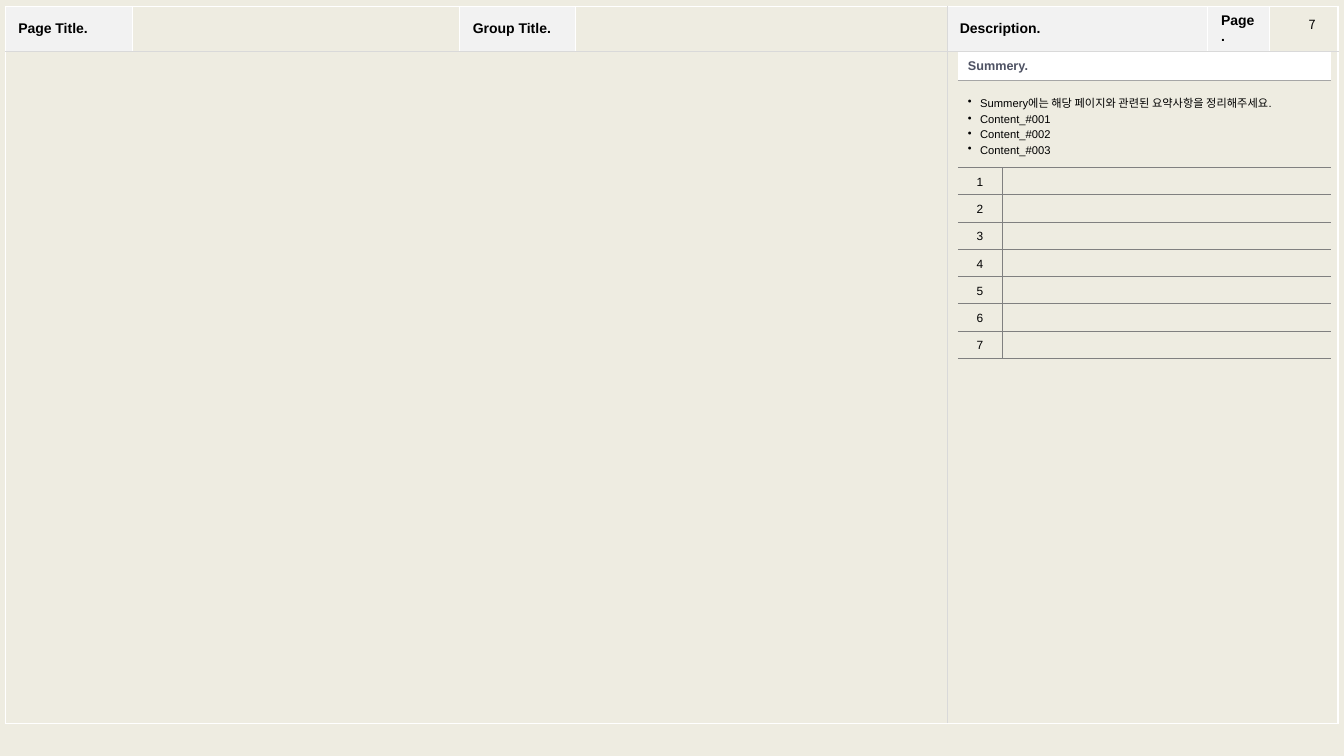
from dataclasses import dataclass
from typing import Optional

from lxml import etree
from pptx import Presentation
from pptx.dml.color import RGBColor
from pptx.enum.text import MSO_ANCHOR, PP_ALIGN
from pptx.oxml.ns import qn
from pptx.util import Inches, Pt

MIDDLE = MSO_ANCHOR.MIDDLE
LEFT, CENTER, JUSTIFY = PP_ALIGN.LEFT, PP_ALIGN.CENTER, PP_ALIGN.JUSTIFY
WIDE, HIGH = Inches(13.33), Inches(7.5)


@dataclass(frozen=True)
class Theme:
    page: str = "EEECE1"
    label: str = "F2F2F2"
    white: str = "FFFFFF"
    ink: str = "000000"
    slate: str = "4E5263"
    pale: str = "D9D9D9"
    mid: str = "A6A6A6"
    gray: str = "808080"
    font: str = "Arial"
    number: str = "Noto Sans CJK KR"
    head: float = 10
    title: float = 9
    body: float = 8
    index: float = 8.5
    thin: float = 0.25
    thick: float = 1


@dataclass(frozen=True)
class Style:
    size: float
    color: str
    bold: bool = False
    align: PP_ALIGN = LEFT
    space: float = 1
    bullet: bool = False
    inset: Optional[tuple[float, float]] = None


@dataclass(frozen=True)
class Grid:
    left: float
    top: float
    cols: list[float]
    rows: list[float]


@dataclass(frozen=True)
class Item:
    row: int
    col: int
    text: str
    style: Style
    edges: dict[str, str]
    fill: Optional[str] = None
    span: int = 1


THEME = Theme()
HEAD = Style(THEME.head, THEME.ink, True, inset=(0.98, 0.8))
TITLE = Style(THEME.title, THEME.slate, True)
BODY = Style(THEME.body, THEME.ink, align=JUSTIFY, space=1.2, bullet=True)
INDEX = Style(THEME.index, THEME.ink, align=CENTER, space=1.2)
PAGE = Style(THEME.title, THEME.ink)

HEADS = ["Page Title.", "", "Group Title.", "", "Description.", "Page.", ""]
NOTES = [
    "Summery에는 해당 페이지와 관련된 요약사항을 정리해주세요.",
    "Content_#001",
    "Content_#002",
    "Content_#003",
]
COUNT = 7
FRAME = Grid(0.38, 0.87, [9.45, 24.38, 8.63, 27.61, 19.43, 4.58, 5.1], [5.93, 88.93])
PANEL = Grid(71.27, 6.93, [3.3, 24.46], [3.73, 11.47] + [3.61] * COUNT)
SPLIT = 4


def across(share: float) -> int:
    return round(WIDE * share / 100)


def down(share: float) -> int:
    return round(HIGH * share / 100)


def write(frame, text: str, style: Style, font: str) -> None:
    frame.text = text
    for para in frame.paragraphs:
        para.alignment = style.align
        para.line_spacing = style.space
        if style.bullet:
            props = para._p.get_or_add_pPr()
            props.set("marL", str(across(0.9)))
            props.set("indent", str(-across(0.9)))
            etree.SubElement(props, qn("a:buChar")).set("char", "•")
        for run in para.runs:
            run.font.name = font
            run.font.size = Pt(style.size)
            run.font.bold = style.bold
            run.font.color.rgb = RGBColor.from_string(style.color)
        if not para.runs:
            end = etree.SubElement(para._p, qn("a:endParaRPr"))
            end.set("sz", str(int(style.size * 100)))


def border(cell, edges: dict[str, str]) -> None:
    props = cell._tc.get_or_add_tcPr()
    for spot, side in enumerate("LRTB"):
        line = etree.Element(qn(f"a:ln{side}"))
        if side in edges:
            color = edges[side]
            width = THEME.thick if color == THEME.white else THEME.thin
            line.set("w", str(Pt(width)))
            fill = etree.SubElement(line, qn("a:solidFill"))
            etree.SubElement(fill, qn("a:srgbClr")).set("val", color)
        else:
            etree.SubElement(line, qn("a:noFill"))
        props.insert(spot, line)


def draw(slide, grid: Grid, items: list[Item]) -> None:
    shape = slide.shapes.add_table(
        len(grid.rows), len(grid.cols), across(grid.left), down(grid.top),
        across(sum(grid.cols)), down(sum(grid.rows)))
    table = shape.table
    table.first_row = table.horz_banding = False
    for col, share in zip(table.columns, grid.cols):
        col.width = across(share)
    for row, share in zip(table.rows, grid.rows):
        row.height = down(share)
    for item in items:
        cells = [table.cell(item.row, item.col + step) for step in range(item.span)]
        if item.span > 1:
            cells[0].merge(cells[-1])
        for cell in cells:
            if item.fill:
                cell.fill.solid()
                cell.fill.fore_color.rgb = RGBColor.from_string(item.fill)
            else:
                cell.fill.background()
            border(cell, item.edges)
        cell = cells[0]
        cell.vertical_anchor = MIDDLE
        if item.style.inset:
            side, edge = item.style.inset
            cell.margin_left = cell.margin_right = across(side)
            cell.margin_top = cell.margin_bottom = down(edge)
        write(cell.text_frame, item.text, item.style, THEME.font)


def outline() -> list[Item]:
    white, pale = THEME.white, THEME.pale
    items = []
    for col, text in enumerate(HEADS):
        edges = {
            "L": pale if col == SPLIT else white,
            "R": pale if col == SPLIT - 1 else white,
            "T": white,
            "B": pale,
        }
        items.append(Item(0, col, text, HEAD, edges, THEME.label if text else None))
    left = {"L": white, "T": pale, "R": pale, "B": white}
    right = {"L": pale, "T": pale, "R": white, "B": white}
    items.append(Item(1, 0, "", HEAD, left, span=SPLIT))
    items.append(Item(1, SPLIT, "", HEAD, right, span=len(HEADS) - SPLIT))
    return items


def summary() -> list[Item]:
    mid, gray = THEME.mid, THEME.gray
    items = [
        Item(0, 0, "Summery.", TITLE, {"B": mid}, THEME.white, 2),
        Item(1, 0, "\n".join(NOTES), BODY, {"T": mid, "B": gray}, span=2),
    ]
    for num in range(1, COUNT + 1):
        rule = {"T": gray, "B": gray}
        items.append(Item(num + 1, 0, str(num), INDEX, {**rule, "R": gray}))
        items.append(Item(num + 1, 1, "", INDEX, {**rule, "L": gray}))
    return items


def main() -> None:
    deck = Presentation()
    deck.slide_width, deck.slide_height = WIDE, HIGH
    slide = deck.slides.add_slide(deck.slide_layouts[6])
    slide.background.fill.solid()
    slide.background.fill.fore_color.rgb = RGBColor.from_string(THEME.page)
    draw(slide, FRAME, outline())
    draw(slide, PANEL, summary())
    box = slide.shapes.add_textbox(across(96.62), down(1.6), across(2.03), down(3.33))
    write(box.text_frame, "7", PAGE, THEME.number)
    deck.save("out.pptx")


if __name__ == "__main__":
    main()
